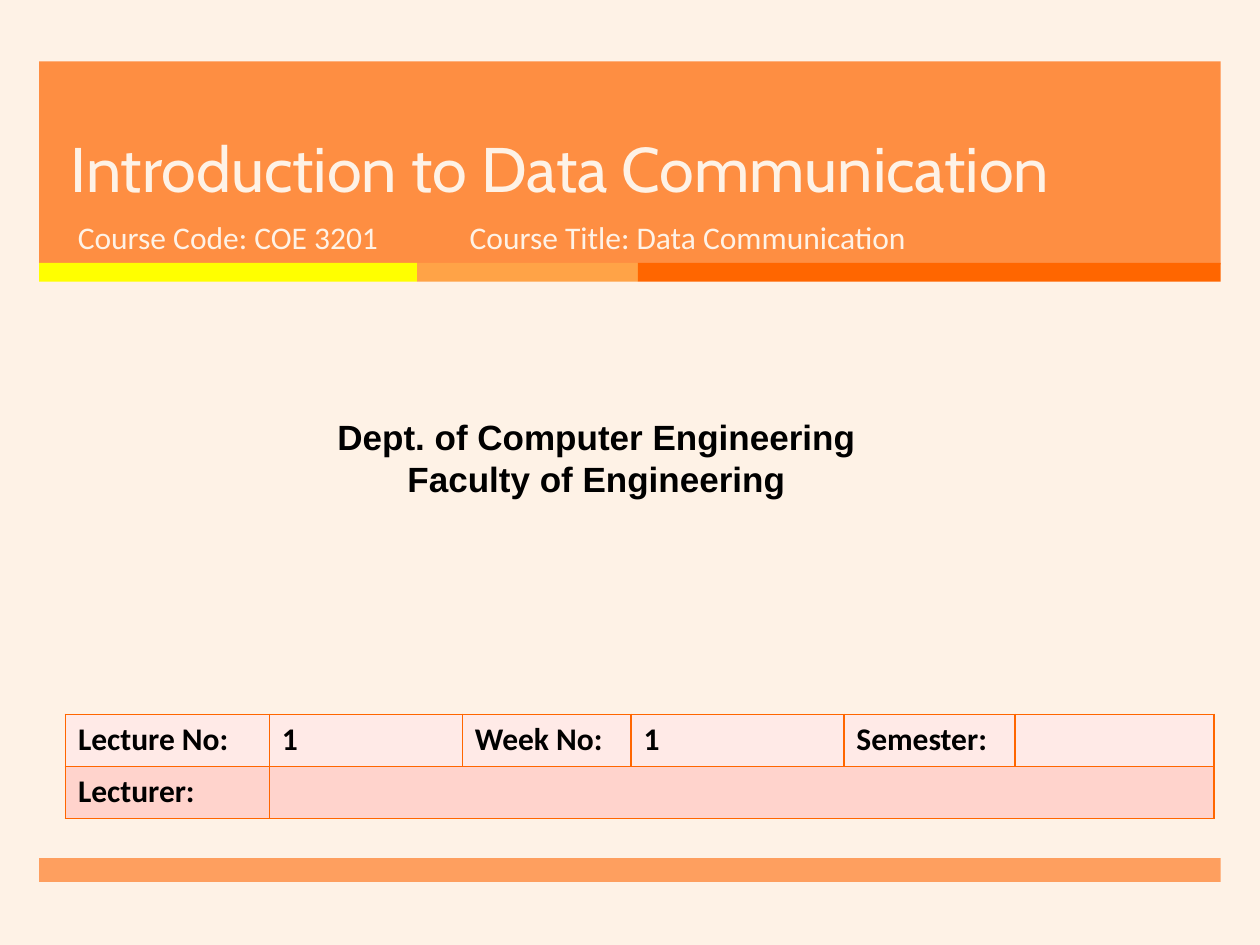
from lxml import etree
from pptx import Presentation
from pptx import util as u
from pptx.dml.color import RGBColor
from pptx.enum import shapes, text
from pptx.oxml import ns

CREAM = RGBColor(0xFE, 0xF2, 0xE6)
BLACK = RGBColor(0x00, 0x00, 0x00)
BANNER = RGBColor(0xFF, 0x7D, 0x26)
YELLOW = RGBColor(0xFF, 0xFF, 0x00)
AMBER = RGBColor(0xFF, 0xA3, 0x47)
ORANGE = RGBColor(0xFF, 0x66, 0x00)
ROW_FILLS = [RGBColor(0xFF, 0xEA, 0xE7), RGBColor(0xFF, 0xD3, 0xCC)]


class SlideBuilder:
    def __init__(self, slide):
        self.slide = slide
        slide.background.fill.solid()
        slide.background.fill.fore_color.rgb = CREAM

    def format_runs(self, paragraph, size, font, color, bold=False):
        for run in paragraph.runs:
            run.font.size = u.Pt(size)
            run.font.name = font
            run.font.color.rgb = color
            run.font.bold = bold

    def title(self, wording, left, top, width, height):
        shape = self.slide.shapes.title
        shape.left, shape.top = u.Cm(left), u.Cm(top)
        shape.width, shape.height = u.Cm(width), u.Cm(height)
        frame = shape.text_frame
        frame.text = wording
        frame.word_wrap = True
        frame.auto_size = text.MSO_AUTO_SIZE.NONE
        frame.vertical_anchor = text.MSO_ANCHOR.BOTTOM
        paragraph = frame.paragraphs[0]
        paragraph.alignment = text.PP_ALIGN.LEFT
        paragraph.line_spacing = u.Pt(46)
        self.format_runs(paragraph, 36, "Cabin", CREAM)

    def bar(self, left, top, width, height, color, opacity=100):
        shape = self.slide.shapes.add_shape(
            shapes.MSO_SHAPE.RECTANGLE, u.Cm(left), u.Cm(top), u.Cm(width), u.Cm(height))
        shape.shadow.inherit = False
        shape.fill.solid()
        shape.fill.fore_color.rgb = color
        shape.line.fill.background()
        if opacity < 100:
            color_element = shape.fill._xPr.find(".//" + ns.qn("a:srgbClr"))
            etree.SubElement(color_element, ns.qn("a:alpha"), val=str(opacity * 1000))

    def text_box(self, wording, left, top, width, height, size, font, color,
                 bold=False, alignment=text.PP_ALIGN.LEFT):
        shape = self.slide.shapes.add_textbox(u.Cm(left), u.Cm(top), u.Cm(width), u.Cm(height))
        frame = shape.text_frame
        frame.word_wrap = True
        frame.text = wording
        for paragraph in frame.paragraphs:
            paragraph.alignment = alignment
            self.format_runs(paragraph, size, font, color, bold)

    def cell_borders(self, cell, color):
        properties = cell._tc.get_or_add_tcPr()
        for side in ("lnL", "lnR", "lnT", "lnB"):
            line = etree.SubElement(properties, ns.qn("a:" + side), w=str(u.Pt(1)))
            fill = etree.SubElement(line, ns.qn("a:solidFill"))
            etree.SubElement(fill, ns.qn("a:srgbClr"), val=str(color))

    def table(self, rows, left, top, column_widths, row_height):
        table = self.slide.shapes.add_table(
            len(rows), len(column_widths), u.Cm(left), u.Cm(top),
            u.Cm(sum(column_widths)), u.Cm(row_height * len(rows))).table
        table.first_row = table.horz_banding = False
        for column, width in zip(table.columns, column_widths):
            column.width = u.Cm(width)
        for i, (labels, fill) in enumerate(zip(rows, ROW_FILLS)):
            table.rows[i].height = u.Cm(row_height)
            for j in range(len(column_widths)):
                cell = table.cell(i, j)
                self.cell_borders(cell, ORANGE)
                cell.fill.solid()
                cell.fill.fore_color.rgb = fill
                if j < len(labels) and labels[j]:
                    cell.text_frame.text = labels[j]
                    self.format_runs(cell.text_frame.paragraphs[0], 18, "Calibri", BLACK, True)
        return table


presentation = Presentation()
presentation.slide_width, presentation.slide_height = u.Cm(25.4), u.Cm(19.05)
builder = SlideBuilder(presentation.slides.add_slide(presentation.slide_layouts[5]))

# Banner, three-colour strip and footer bar
MARGIN, BAR_WIDTH = 0.79, 23.82
builder.bar(MARGIN, 1.24, BAR_WIDTH, 4.09, BANNER, 85)
strip_left = MARGIN
for width, color in ((7.62, YELLOW), (4.45, AMBER), (11.75, ORANGE)):
    builder.bar(strip_left, 5.3, width, 0.38, color)
    strip_left += width
builder.bar(MARGIN, 17.3, BAR_WIDTH, 0.48, BANNER, 70)

# Title, brought in front of the banner
builder.title("Introduction to Data Communication", 1.17, 1.24, 21.69, 3.02)
title_element = builder.slide.shapes.title._element
title_element.getparent().append(title_element)

# Course details
for wording, left, width in (("Course Code: COE 3201", 1.32, 7.75),
                             ("Course Title: Data Communication", 9.22, 11.56)):
    builder.text_box(wording, left, 4.27, width, 1.35, 18, "Calibri", CREAM)

# Department
builder.text_box("Dept. of Computer Engineering\nFaculty of Engineering",
                 -0.51, 8.26, 25.07, 1.96, 20, "Arial", BLACK, True, text.PP_ALIGN.CENTER)

# Lecture table
lecture_table = builder.table(
    [["Lecture No:", "1", "Week No:", "1", "Semester:", ""], ["Lecturer:"]],
    1.32, 14.4, [4.11, 3.89, 3.4, 4.29, 3.45, 4.01], 1.05)
lecture_table.cell(1, 1).merge(lecture_table.cell(1, 5))

presentation.save("out.pptx")
